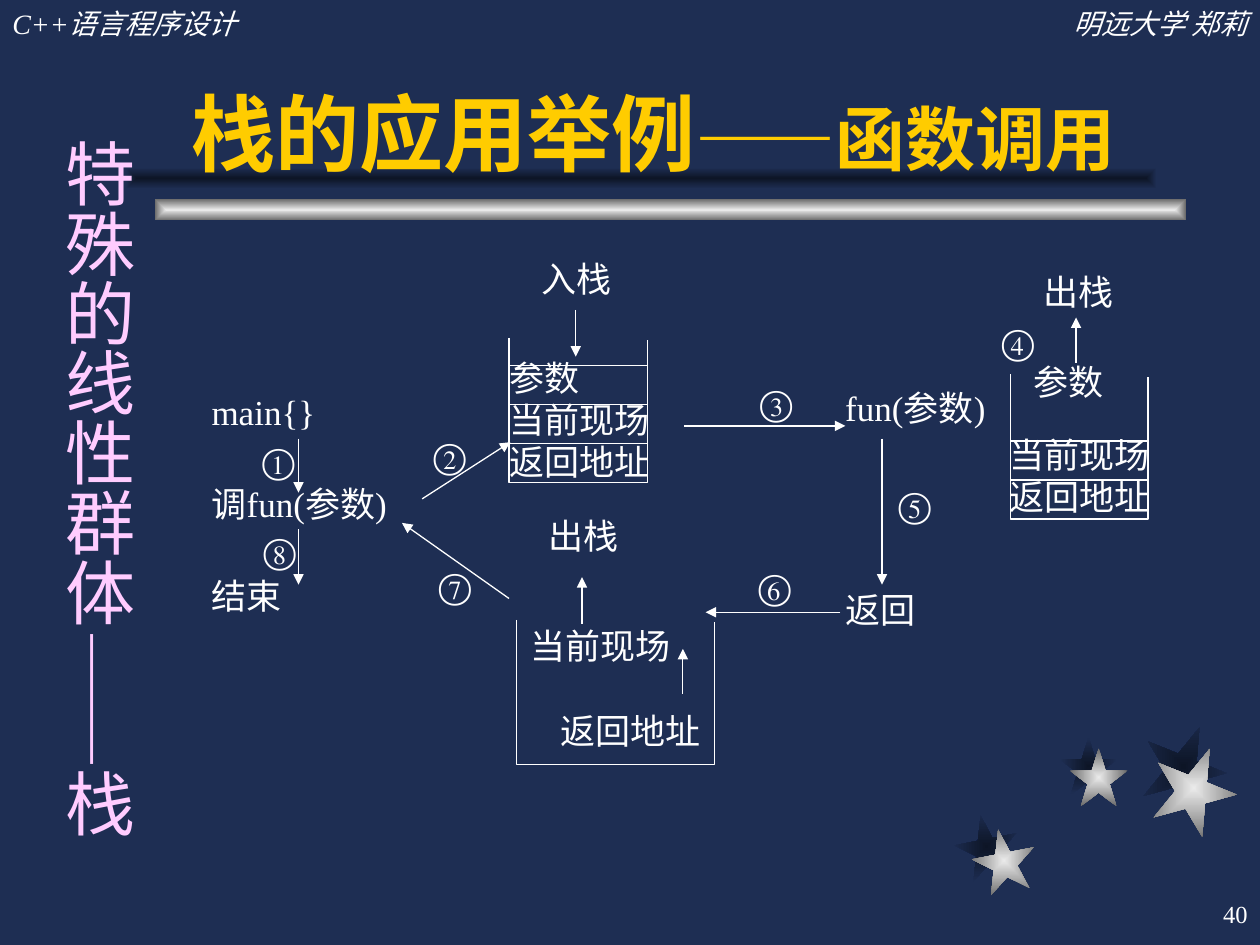
from pptx import Presentation
from pptx.dml.color import RGBColor
from pptx.enum import shapes, text
from pptx.oxml import parse_xml
from pptx.oxml.ns import nsdecls, qn
from pptx.util import Pt

SERIF, SANS, CJK = "Times New Roman", "Arial", "Noto Sans CJK SC"
WHITE, NAVY, INK, GOLD, PINK = "FFFFFF", "1E2E53", "0D1526", "FFCC00", "FFCCFF"
SHADE, SILVER = (INK, NAVY), ("EAEAEA", "6B6B6B")
LEFT, CENTER, RIGHT = text.PP_ALIGN.LEFT, text.PP_ALIGN.CENTER, text.PP_ALIGN.RIGHT
PADDED = (7.2, 3.6)

# kind, left, top, width, height, rotation, colours from centre to edge
STAR, BAR = shapes.MSO_SHAPE.STAR_5_POINT, shapes.MSO_SHAPE.RECTANGLE
DECORATION = [
    (STAR, 545.8, 465.8, 36, 36, 349, SHADE),
    (STAR, 605.5, 421.2, 33.1, 33.1, 0, SHADE),
    (STAR, 652.3, 414, 48.2, 48.2, 22, SHADE),
    (STAR, 555.8, 473.8, 36, 36, 349, SILVER),
    (STAR, 611.3, 427.7, 33.1, 33.1, 0, SILVER),
    (STAR, 658.1, 426.2, 48.2, 48.2, 22, SILVER),
    (BAR, 88.6, 113.8, 589, 12.2, 0, SILVER),
    (BAR, 72, 95.8, 589, 12.2, 0, SHADE),
]
TITLE = [("栈的应用举例", 48), ("——函数调用", 40)]

# left, top, width, height, lines (text, paragraph format), box format
LABELS = [
    (0, 0, 222, 26.6, [("C++语言程序设计", {})],
     {"size": 16, "italic": True, "inset": PADDED}),
    (498, 0, 222, 26.6, [("明远大学 郑莉", {"alignment": RIGHT})],
     {"size": 16, "italic": True, "inset": PADDED}),
    (21.6, 72, 62, 414, [("特殊的线性群体——栈", {})],
     {"size": 40, "font": CJK, "color": PINK, "inset": (3.6, 7.2), "vert": "eaVert"}),
    (113.8, 217.4, 132.5, 148.3,
     [("main{}", {"line_spacing": 1.1}),
      ("调fun(参数)", {"line_spacing": 1.1, "space_before": Pt(26)}),
      ("结束", {"line_spacing": 1.1, "space_before": Pt(26)})], {"inset": PADDED}),
    (475.9, 217.4, 111.6, 148.3,
     [("fun(参数)", {}), ("返回", {"line_spacing": 1.8, "space_before": Pt(72)})],
     {"inset": PADDED}),
    (290.9, 203.8, 82.8, 71.3, [("参数", {}), ("当前现场", {}), ("返回地址", {})], {}),
    (300.2, 146.9, 59, 25.2, [("入栈", {"alignment": CENTER})], {}),
    (576.7, 247.7, 82.8, 51.1, [("当前现场", {}), ("返回地址", {})], {}),
    (586.8, 154.8, 59, 25.2, [("出栈", {"alignment": CENTER})], {}),
    (590.4, 205.9, 54, 25.2, [("参数", {})], {}),
    (303.8, 293.8, 59, 25.2, [("出栈", {"alignment": CENTER})], {}),
    (303.1, 357.1, 101.5, 25.2, [("当前现场", {})], {}),
    (320.3, 405.5, 84.3, 25.2, [("返回地址", {})], {}),
    (570.2, 504, 149.8, 36, [("40", {"alignment": RIGHT})],
     {"size": 14, "inset": PADDED, "anchor": text.MSO_ANCHOR.MIDDLE}),
]
STEPS = {"①": (149.8, 251.3), "②": (247.7, 248.4), "③": (434.2, 218.2),
         "④": (572.4, 182.9), "⑤": (513.4, 276.5), "⑥": (433.4, 323.3),
         "⑦": (250.6, 322.6), "⑧": (150.5, 302.4)}

# left, top, width, number of dividers
STACKS = [(290.9, 193, 79.2, 3), (577.4, 213.8, 78.7, 2), (295.2, 354.2, 113, 0)]
STACK_HEIGHT, CELL_HEIGHT = 82.8, 22.3
ARROWS = [
    (170.6, 250.6, 170.6, 281.5), (170.6, 302.4, 170.6, 334.1),
    (241.2, 285.1, 291.6, 252.7), (290.9, 342, 229.7, 298.8),
    (504, 250.6, 504, 334.1), (391, 243.4, 483.1, 243.4),
    (480.2, 349.9, 403.2, 349.9), (329, 177.1, 329, 203.8),
    (614.9, 207.4, 614.9, 181.4), (332.6, 356.4, 332.6, 329.8),
    (390.2, 396.7, 390.2, 370.8),
]


def rgb(color):
    return RGBColor.from_string(color)


def points(*values):
    return [Pt(value) for value in values]


def set_all(target, **values):
    for name, value in values.items():
        setattr(target, name, value)


def style_font(span, size, color, name, **extra):
    span.font.color.rgb = rgb(color)
    set_all(span.font, size=Pt(size), name=name, **extra)


def add_decoration(page, kind, left, top, width, height, rotation, colors):
    shape = page.shapes.add_shape(kind, *points(left, top, width, height))
    set_all(shape, rotation=rotation)
    shape.shadow.inherit = False
    shape.line.fill.background()
    shape.fill.gradient()
    for stop, color in zip(shape.fill.gradient_stops, colors):
        stop.color.rgb = rgb(color)
    linear = shape.element.find(".//" + qn("a:lin"))
    linear.getparent().replace(linear, parse_xml(
        f'<a:path {nsdecls("a")} path="rect"><a:fillToRect '
        'l="50000" t="50000" r="50000" b="50000"/></a:path>'))


def add_label(page, left, top, width, height, lines, size=20, font=SERIF, color=WHITE,
              italic=False, inset=(0, 0), anchor=text.MSO_ANCHOR.TOP, vert=None):
    box = page.shapes.add_textbox(*points(left, top, width, height))
    frame = box.text_frame
    across, down = points(*inset)
    set_all(frame, word_wrap=True, vertical_anchor=anchor, margin_left=across,
            margin_right=across, margin_top=down, margin_bottom=down)
    if vert:
        box.element.find(".//" + qn("a:bodyPr")).set("vert", vert)
    for number, (words, layout) in enumerate(lines):
        para = frame.add_paragraph() if number else frame.paragraphs[0]
        set_all(para, **layout)
        span = para.add_run()
        span.text = words
        style_font(span, size, color, font, italic=italic)


def style_line(shape):
    shape.line.color.rgb = rgb(WHITE)
    shape.line.width = Pt(0.75)


def add_line(page, *ends, arrow=False):
    line = page.shapes.add_connector(shapes.MSO_CONNECTOR.STRAIGHT, *points(*ends))
    style_line(line)
    if arrow:
        line.line._get_or_add_ln().append(
            parse_xml(f'<a:tailEnd {nsdecls("a")} type="triangle"/>'))
    line.element.spPr.append(parse_xml(f'<a:effectLst {nsdecls("a")}/>'))


def add_stack(page, left, top, width, dividers):
    """Draw a container open at the top, with cells counted from its bottom."""
    right, bottom = left + width, top + STACK_HEIGHT
    builder = page.shapes.build_freeform(*points(left, top), scale=1.0)
    corners = [(left, bottom), (right, bottom), (right, top + 1.5)]
    builder.add_line_segments([points(*corner) for corner in corners], close=False)
    outline = builder.convert_to_shape()
    outline.shadow.inherit = False
    outline.fill.background()
    style_line(outline)
    for number in range(1, dividers + 1):
        level = bottom - number * CELL_HEIGHT
        add_line(page, left, level, right, level)


def format_title(title):
    left, top, width, height = points(102.2, 18, 563.8, 90)
    set_all(title, left=left, top=top, width=width, height=height)
    set_all(title.text_frame, vertical_anchor=text.MSO_ANCHOR.BOTTOM,
            word_wrap=True, auto_size=text.MSO_AUTO_SIZE.NONE)
    para = title.text_frame.paragraphs[0]
    para.alignment = LEFT
    for words, size in TITLE:
        span = para.add_run()
        span.text = words
        style_font(span, size, GOLD, SANS, bold=True)
    title.element.getparent().append(title.element)


def main():
    deck = Presentation()
    set_all(deck, slide_width=Pt(720), slide_height=Pt(540))
    page = deck.slides.add_slide(deck.slide_layouts[5])
    page.background.fill.solid()
    page.background.fill.fore_color.rgb = rgb(NAVY)
    for item in DECORATION:
        add_decoration(page, *item)
    format_title(page.shapes.title)
    for *place, lines, layout in LABELS:
        add_label(page, *place, lines, **layout)
    for digit, (left, top) in STEPS.items():
        add_label(page, left, top, 20, 21, [(digit, {})])
    for stack in STACKS:
        add_stack(page, *stack)
    for ends in ARROWS:
        add_line(page, *ends, arrow=True)
    deck.save("out.pptx")


if __name__ == "__main__":
    main()
